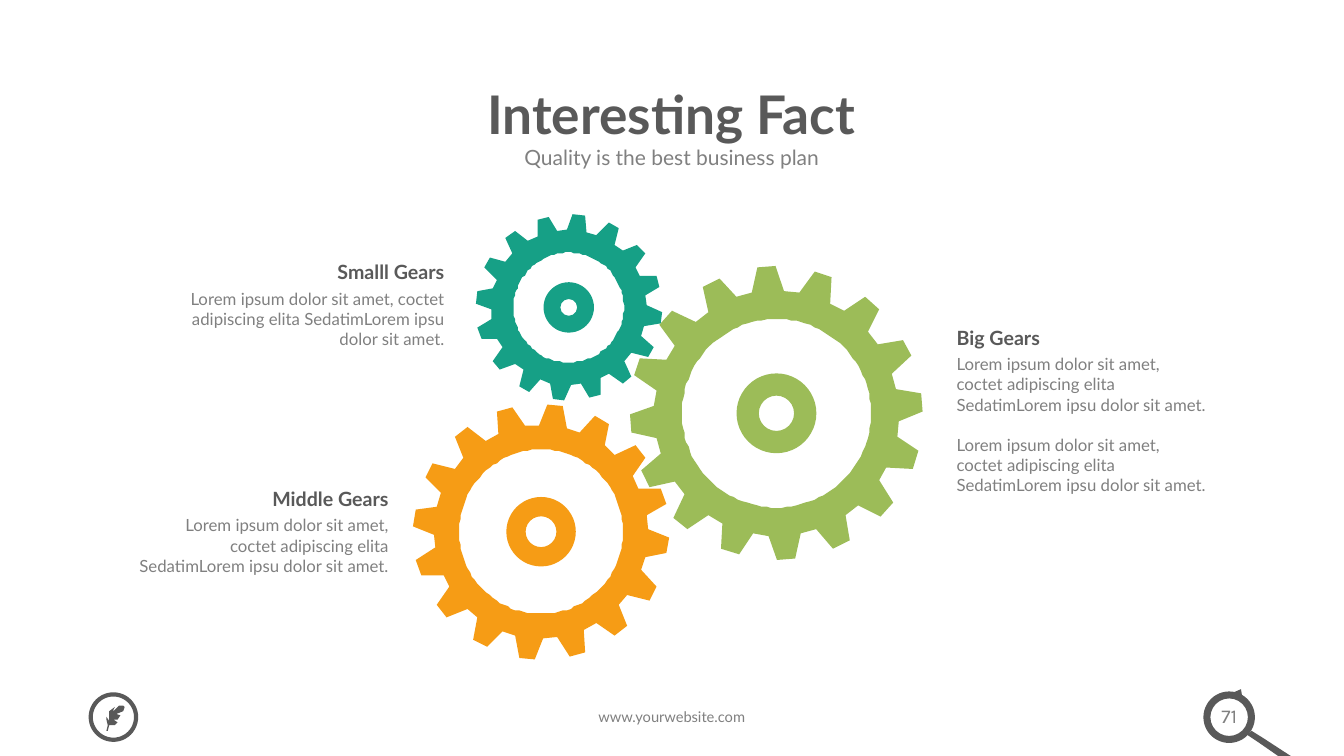
from dataclasses import dataclass
from math import cos, pi, radians, sin

from pptx import Presentation
from pptx.dml.color import RGBColor
from pptx.enum.shapes import MSO_SHAPE
from pptx.enum.text import MSO_ANCHOR, MSO_AUTO_SIZE, PP_ALIGN
from pptx.util import Pt

LEFT, CENTER, RIGHT = PP_ALIGN.LEFT, PP_ALIGN.CENTER, PP_ALIGN.RIGHT
TOP, MIDDLE = MSO_ANCHOR.TOP, MSO_ANCHOR.MIDDLE
NO_AUTOFIT = MSO_AUTO_SIZE.NONE
DONUT, OVAL, RIGHT_ARROW = MSO_SHAPE.DONUT, MSO_SHAPE.OVAL, MSO_SHAPE.RIGHT_ARROW
TITLE_ONLY = 5

TEETH = 16
ROOT_RATIO = 0.835  # root radius over tip radius
TIP_HALF_ANGLE, ROOT_HALF_ANGLE = 3.6, 7.5
HEADING_TO_BODY = 20.2


@dataclass(frozen=True)
class Theme:
    dark: str = "595959"
    gray: str = "808080"
    orange: str = "F69C15"
    green: str = "9CBC58"
    teal: str = "16A086"
    font: str = "Lato"
    number_font: str = "Karla"
    title: float = 38
    subtitle: float = 15
    heading: float = 14
    body: float = 12
    footer: float = 10.5


def circle_points(x, y, radius, steps=120):
    return [(x + radius * cos(2 * pi * step / steps), y + radius * sin(2 * pi * step / steps))
            for step in range(steps)]


def gear_points(x, y, radius, phase):
    """Outline of a gear whose first tooth points at phase degrees."""
    corners = [(-ROOT_HALF_ANGLE, ROOT_RATIO), (-TIP_HALF_ANGLE, 1),
               (TIP_HALF_ANGLE, 1), (ROOT_HALF_ANGLE, ROOT_RATIO)]
    points = []
    for tooth in range(TEETH):
        for offset, ratio in corners:
            angle = radians(phase + tooth * 360 / TEETH + offset)
            points.append((x + radius * ratio * cos(angle), y + radius * ratio * sin(angle)))
    return points


class SlideBuilder:
    def __init__(self, presentation, theme):
        self.theme = theme
        self.slide = presentation.slides.add_slide(presentation.slide_layouts[TITLE_ONLY])

    def fill_text(self, shape, paragraphs, size, color, font=None, bold=False, align=LEFT,
                  anchor=TOP, insets=(0, 0), line_spacing=None, gap=0):
        frame = shape.text_frame
        frame.word_wrap = True
        frame.auto_size = NO_AUTOFIT
        frame.vertical_anchor = anchor
        frame.margin_left = frame.margin_right = Pt(insets[0])
        frame.margin_top = frame.margin_bottom = Pt(insets[1])
        for index, text in enumerate(paragraphs):
            paragraph = frame.add_paragraph() if index else frame.paragraphs[0]
            paragraph.text = text
            paragraph.alignment = align
            if line_spacing:
                paragraph.line_spacing = line_spacing
            if index and gap:
                paragraph.space_before = Pt(gap)
            paragraph.font.name = font or self.theme.font
            paragraph.font.size = Pt(size)
            paragraph.font.bold = bold
            paragraph.font.color.rgb = RGBColor.from_string(color)

    def title(self, text, left, top, width, height):
        shape = self.slide.shapes.title
        shape.left, shape.top, shape.width, shape.height = map(Pt, (left, top, width, height))
        self.fill_text(shape, [text], self.theme.title, self.theme.dark, bold=True,
                       align=CENTER, anchor=MIDDLE, insets=(7.2, 3.6), line_spacing=0.9)

    def text(self, paragraphs, left, top, width, height, **style):
        box = self.slide.shapes.add_textbox(*map(Pt, (left, top, width, height)))
        self.fill_text(box, paragraphs, **style)

    def paint(self, shape, color):
        shape.shadow.inherit = False
        shape.fill.solid()
        shape.fill.fore_color.rgb = RGBColor.from_string(color)
        shape.line.fill.background()

    def preset(self, kind, left, top, size, color, adjustments=(), rotation=0):
        shape = self.slide.shapes.add_shape(kind, *map(Pt, (left, top, size, size)))
        for index, value in enumerate(adjustments):
            shape.adjustments[index] = value
        shape.rotation = rotation
        self.paint(shape, color)
        return shape

    def ring(self, x, y, outer, inner, color):
        self.preset(DONUT, x - outer, y - outer, 2 * outer, color,
                    [(outer - inner) / (2 * outer)])

    def circle_outline(self, left, top, size, color, weight):
        shape = self.preset(OVAL, left, top, size, color)
        shape.fill.background()
        shape.line.color.rgb = RGBColor.from_string(color)
        shape.line.width = Pt(weight)

    def outline(self, contours, color):
        first, *others = contours
        builder = self.slide.shapes.build_freeform(*first[0], scale=float(Pt(1)))
        builder.add_line_segments(first[1:], close=True)
        for contour in others:
            builder.move_to(*contour[0])
            builder.add_line_segments(contour[1:], close=True)
        self.paint(builder.convert_to_shape(), color)

    def gear(self, x, y, radius, phase, hole, hub, axle, color):
        self.outline([gear_points(x, y, radius, phase), circle_points(x, y, hole)], color)
        self.ring(x, y, hub, axle, color)

    def callout(self, heading, paragraphs, left, top, width, height, align):
        theme = self.theme
        self.text([heading], left, top, width, 17.3, size=theme.heading, color=theme.dark,
                  bold=True, align=align)
        self.text(paragraphs, left, top + HEADING_TO_BODY, width, height, size=theme.body,
                  color=theme.gray, align=align, gap=14.4)


def main():
    presentation = Presentation()
    presentation.slide_width, presentation.slide_height = Pt(960), Pt(540)
    theme = Theme()
    builder = SlideBuilder(presentation, theme)

    # Gears
    builder.gear(386.5, 379.8, 91.3, 6.2, 58.7, 24.8, 11, theme.orange)
    builder.gear(554.6, 295.2, 104.8, -4, 67.5, 28.5, 12.6, theme.green)
    builder.gear(406.3, 219.6, 66.5, 6.2, 39.3, 18, 6, theme.teal)

    # Title and subtitle
    builder.title("Interesting Fact", 119.5, 54, 720, 59)
    builder.text(["Quality is the best business plan"], 192.2, 98.3, 575.3, 28,
                 size=theme.subtitle, color=theme.gray, align=CENTER, insets=(9.4, 5))

    # Callouts
    lorem = ("Lorem ipsum dolor sit amet, coctet adipiscing elita "
             "SedatimLorem ipsu dolor sit amet.")
    builder.callout("Big Gears", [lorem, lorem], 683.3, 232.6, 180, 101.5, LEFT)
    builder.callout("Smalll Gears", [lorem], 134.5, 185.8, 183, 44, RIGHT)
    builder.callout("Middle Gears", [lorem], 97.7, 347.8, 180, 44, RIGHT)

    # Footer: feather badge
    feather = [(77, 522), (78.5, 518.4), (81.5, 517.9), (83.5, 515.5), (80.6, 514),
               (84, 513.5), (86.4, 511.2), (82.8, 510.5), (87.8, 508.3), (88.6, 505.4),
               (87.5, 504.2), (85, 504), (81.4, 508.3), (81, 507), (82.1, 504.7),
               (78.5, 507.6), (77.6, 510.5), (77.8, 514.8), (76.3, 511.9),
               (75.8, 514.5), (77, 517.7), (76.2, 522)]
    builder.circle_outline(64.8, 496, 32.4, theme.dark, 3)
    builder.outline([feather], theme.dark)

    # Footer: web address
    builder.text(["www.yourwebsite.com"], 306, 501.8, 347.8, 20.9, size=theme.footer,
                 color=theme.gray, align=CENTER, insets=(7.2, 3.6))

    # Footer: magnifier with page number
    handle = [(893.5, 522), (902.5, 527), (922.3, 540), (913, 540), (900, 531.4),
              (891.4, 524.9)]
    builder.ring(878, 512.3, 18.4, 13.4, theme.dark)
    builder.outline([handle], theme.dark)
    builder.preset(RIGHT_ARROW, 880.6, 491.8, 7.9, theme.dark, [0.32, 0.64], 298.7)
    builder.text(["71"], 856.1, 499, 43.9, 24.5, size=theme.heading, color=theme.gray,
                 font=theme.number_font, align=CENTER, insets=(7.2, 3.6))

    presentation.save("out.pptx")


if __name__ == "__main__":
    main()
